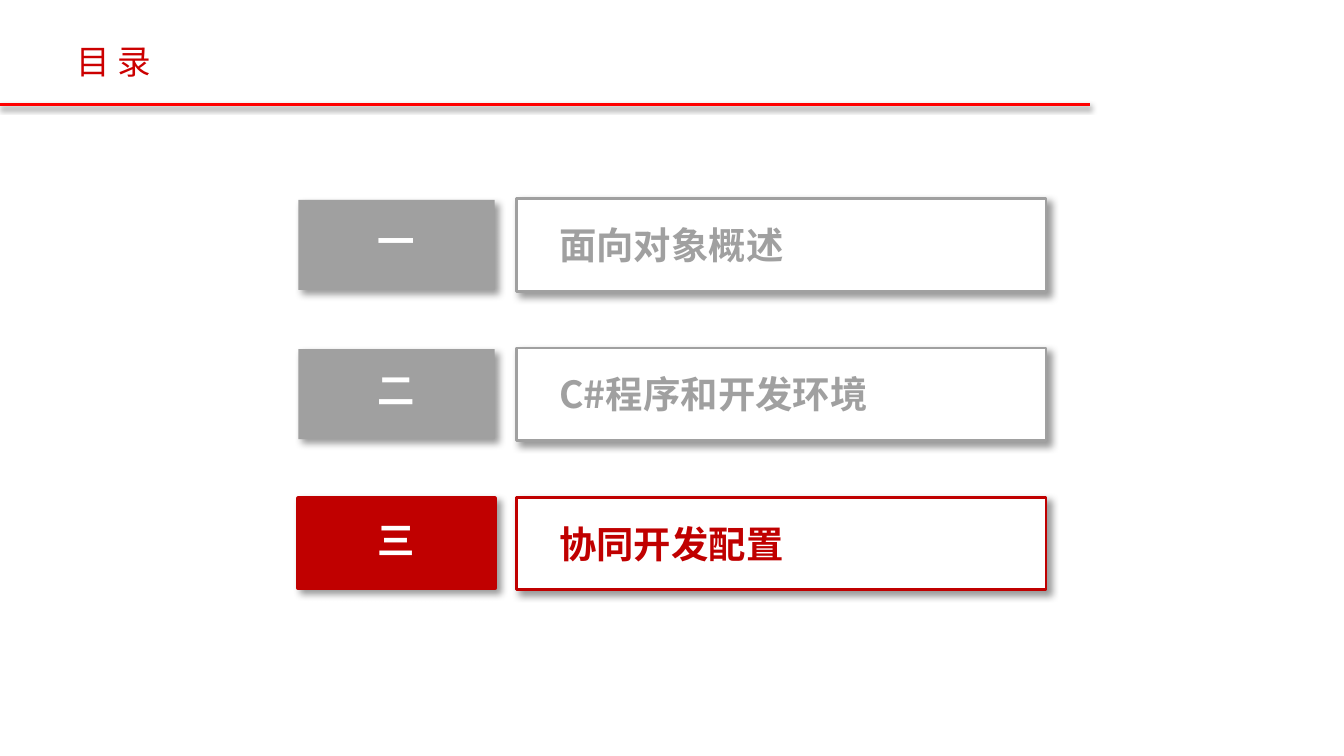
"""Build the contents slide with its third chapter highlighted."""
from lxml.etree import SubElement
from pptx import Presentation
from pptx.dml.color import RGBColor
from pptx.enum.lang import MSO_LANGUAGE_ID
from pptx.enum.shapes import MSO_CONNECTOR, MSO_SHAPE
from pptx.enum.text import MSO_ANCHOR, MSO_AUTO_SIZE, PP_ALIGN
from pptx.oxml.ns import qn
from pptx.util import Cm, Pt

HEADING = "目 录"
CHAPTERS = [("一", "面向对象概述"), ("二", "C#程序和开发环境"), ("三", "协同开发配置")]
ACTIVE = "三"

THEME = {
    "heading": "CC0000", "rule": "FF0000", "active": "C00000",
    "muted": "A0A0A0", "paper": "FFFFFF", "shadow": "000000",
    "heading_size": 18, "chapter_size": 20,
    "font": "Noto Sans CJK SC", "number_font": "Arial",
}
ROW_PITCH = 2.82
NUMBER_BOX = (5.64, 3.78, 3.71, 1.7)
TITLE_FRAME = (9.76, 3.76, 10.01, 1.75)
TITLE_TEXT = (10.32, 4.08, 8.92, 1.12)


def color(name):
    """Return a theme colour."""
    return RGBColor.from_string(THEME[name])


def place(box, row=0):
    """Return the lengths of a box moved down by whole rows."""
    left, top, width, height = box
    return Cm(left), Cm(top + row * ROW_PITCH), Cm(width), Cm(height)


def cast_shadow(part, alpha=40, blur=4, distance=3, angle=45):
    """Give a part an outer shadow."""
    effects = SubElement(part.element.spPr, qn("a:effectLst"))
    outer = SubElement(effects, qn("a:outerShdw"), blurRad=str(Pt(blur)),
                       dist=str(Pt(distance)), dir=str(angle * 60000),
                       algn="t" if angle == 90 else "tl", rotWithShape="0")
    tone = SubElement(outer, qn("a:srgbClr"), val=THEME["shadow"])
    SubElement(tone, qn("a:alpha"), val=str(alpha * 1000))


def write(part, text, *, size, tone, font=THEME["font"], bold=False,
          align=PP_ALIGN.LEFT, spacing=1.0, wrap=True,
          anchor=MSO_ANCHOR.TOP, fit=MSO_AUTO_SIZE.NONE):
    """Write one formatted paragraph into a part."""
    frame = part.text_frame
    frame.word_wrap, frame.auto_size, frame.vertical_anchor = wrap, fit, anchor
    paragraph = frame.paragraphs[0]
    paragraph.alignment, paragraph.line_spacing = align, spacing
    run = paragraph.add_run()
    run.text = text
    run.font.size, run.font.bold, run.font.name = Pt(size), bold, font
    run.font.color.rgb = color(tone)
    run.font.language_id = MSO_LANGUAGE_ID.SIMPLIFIED_CHINESE
    latin = run.font._element.find(qn("a:latin"))
    latin.addnext(latin.makeelement(qn("a:ea"), {"typeface": font}))


def add_panel(group, box, row, fill, line=None, weight=1.5):
    """Add a shadowed rectangle to a chapter row."""
    panel = group.shapes.add_shape(MSO_SHAPE.RECTANGLE, *place(box, row))
    panel.fill.solid()
    panel.fill.fore_color.rgb = color(fill)
    if line:
        panel.line.color.rgb = color(line)
        panel.line.width = Pt(weight)
    else:
        panel.line.fill.background()
    cast_shadow(panel)
    return panel


def add_chapter(slide, row, number, title):
    """Add one chapter as a group of number, frame and title."""
    active = number == ACTIVE
    tone = "active" if active else "muted"
    group = slide.shapes.add_group_shape()
    badge = add_panel(group, NUMBER_BOX, row, tone, tone if active else None, 2.25)
    write(badge, number, size=THEME["chapter_size"], tone="paper",
          font=THEME["number_font"], bold=True, align=PP_ALIGN.CENTER,
          spacing=0.8, wrap=False, anchor=MSO_ANCHOR.MIDDLE)
    add_panel(group, TITLE_FRAME, row, "paper", tone)
    label = group.shapes.add_textbox(*place(TITLE_TEXT, row))
    write(label, title, size=THEME["chapter_size"], tone=tone, bold=True,
          fit=MSO_AUTO_SIZE.SHAPE_TO_FIT_TEXT)


def main():
    """Build and save the slide."""
    deck = Presentation()
    deck.slide_width, deck.slide_height = Cm(25.4), Cm(14.29)
    slide = deck.slides.add_slide(deck.slide_layouts[6])

    rule = slide.shapes.add_connector(
        MSO_CONNECTOR.STRAIGHT, Cm(0), Cm(1.98), Cm(20.6), Cm(1.98))
    rule.line.color.rgb = color("rule")
    rule.line.width = Pt(1.5)
    cast_shadow(rule, alpha=38, blur=3.1, distance=1.6, angle=90)

    heading = slide.shapes.add_textbox(*place((1.19, 0.64, 1.98, 1.02)))
    write(heading, HEADING, size=THEME["heading_size"], tone="heading",
          wrap=False, fit=MSO_AUTO_SIZE.SHAPE_TO_FIT_TEXT)

    for row, (number, title) in enumerate(CHAPTERS):
        add_chapter(slide, row, number, title)
    deck.save("out.pptx")


if __name__ == "__main__":
    main()
